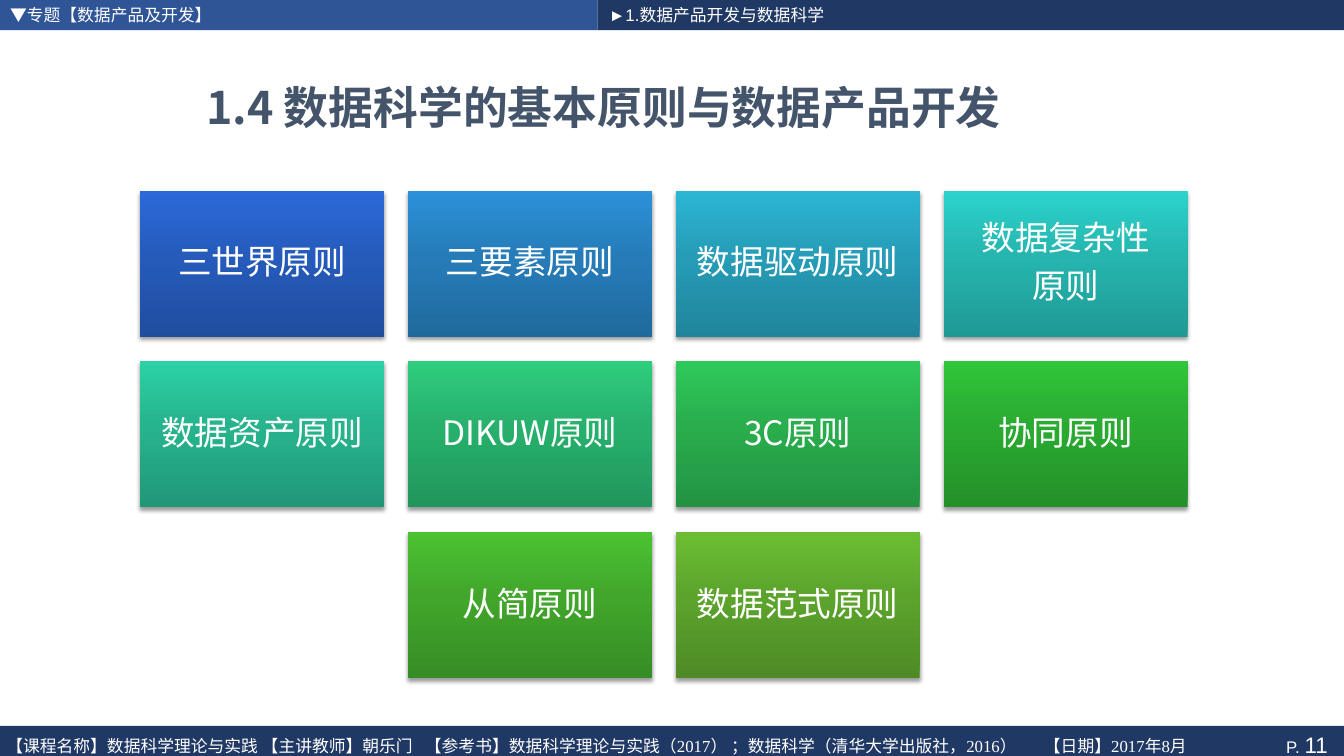
from dataclasses import dataclass

from lxml import etree
from pptx import Presentation
from pptx import util as u
from pptx.dml.color import RGBColor
from pptx.enum import shapes, text
from pptx.oxml import ns
from pptx.shapes import autoshape

COLOURS = {
    "white": "FFFFFF", "navy": "203864", "blue": "2F5597",
    "slate": "44546A", "shadow": "000000",
}
# Bottom, middle and top colour of each tile
GRADIENTS = {
    "royal": "204E9F 265BBB 2C6ADA",
    "azure": "206A9D 267CB9 2C91D8",
    "cyan": "20859C 269CB7 2CB6D5",
    "turquoise": "209A95 26B5AF 2CD3CC",
    "teal": "209878 26B38D 2CD1A5",
    "emerald": "21965C 27B06C 2ECD7E",
    "jade": "239342 29AD4D 2FC95A",
    "green": "249029 2AAA31 31C539",
    "leaf": "378D25 41A62B 4BC232",
    "olive": "4E8B26 5CA32C 6BBE34",
}
STOPS = (0, 55, 100)
CJK_FONT = "Noto Sans CJK SC"
LEFT, CENTER, RIGHT = text.PP_ALIGN.LEFT, text.PP_ALIGN.CENTER, text.PP_ALIGN.RIGHT
TOP, MIDDLE = text.MSO_ANCHOR.TOP, text.MSO_ANCHOR.MIDDLE


@dataclass(frozen=True)
class Area:
    left: float
    top: float
    width: float
    height: float

    def place(self, shape: autoshape.Shape) -> None:
        shape.left, shape.top = u.Cm(self.left), u.Cm(self.top)
        shape.width, shape.height = u.Cm(self.width), u.Cm(self.height)


@dataclass(frozen=True)
class Span:
    words: str
    size: float = 12
    font: str = "Arial"
    colour: str = "white"
    bold: bool = False


@dataclass(frozen=True)
class Tile:
    lines: tuple[str, ...]
    gradient: str


@dataclass(frozen=True)
class CourseItem:
    words: str
    left: float
    width: float


TILE_ROWS = (
    (Tile(("三世界原则",), "royal"), Tile(("三要素原则",), "azure"),
     Tile(("数据驱动原则",), "cyan"), Tile(("数据复杂性", "原则"), "turquoise")),
    (Tile(("数据资产原则",), "teal"), Tile(("DIKUW原则",), "emerald"),
     Tile(("3C原则",), "jade"), Tile(("协同原则",), "green")),
    (Tile(("从简原则",), "leaf"), Tile(("数据范式原则",), "olive")),
)
COLUMNS = 4
FIRST_TILE = Area(3.53, 4.81, 6.15, 3.68)
PITCH_X, PITCH_Y = 6.75, 4.3

TOPIC_BAR = Area(0, 0, 15.06, 0.76)
CHAPTER_BAR = Area(15.06, 0, 18.81, 0.76)
PAGE_BAR = Area(0, 18.29, 33.87, 0.76)
COURSE_ITEMS = (
    CourseItem("【课程名称】数据科学理论与实践 【主讲教师】朝乐门", 0.16, 10.5),
    CourseItem("【参考书】数据科学理论与实践（2017） ；数据科学（清华大学出版社，2016）", 10.71, 15.6),
    CourseItem("【日期】2017年8月", 26.31, 5.5),
)


def write(shape: autoshape.Shape, paragraphs: list[list[Span]], align: int,
          frame_format: dict | None = None, para_format: dict | None = None) -> None:
    """Fill a shape with unbulleted paragraphs of formatted spans."""
    frame = shape.text_frame
    defaults = {"word_wrap": True, "auto_size": text.MSO_AUTO_SIZE.NONE,
                "vertical_anchor": TOP}
    for name, value in (defaults | (frame_format or {})).items():
        setattr(frame, name, value)
    for index, spans in enumerate(paragraphs):
        para = frame.paragraphs[0] if index == 0 else frame.add_paragraph()
        properties = para._p.get_or_add_pPr()
        properties.set("marL", "0")
        properties.set("indent", "0")
        etree.SubElement(properties, ns.qn("a:buNone"))
        spacing = {"alignment": align, "space_before": u.Pt(0)}
        for name, value in (spacing | (para_format or {})).items():
            setattr(para, name, value)
        for span in spans:
            run = para.add_run()
            run.text = span.words
            font_format = {"size": u.Pt(span.size), "bold": span.bold, "name": span.font}
            for name, value in font_format.items():
                setattr(run.font, name, value)
            run.font.color.rgb = RGBColor.from_string(COLOURS[span.colour])
            etree.SubElement(run._r.get_or_add_rPr(), ns.qn("a:ea"), typeface=CJK_FONT)


def add_box(page, area: Area) -> autoshape.Shape:
    box = page.shapes.add_shape(shapes.MSO_SHAPE.RECTANGLE, 0, 0, 0, 0)
    area.place(box)
    box.shadow.inherit = False
    box.line.fill.background()
    return box


def add_bar(page, area: Area, colour: str) -> autoshape.Shape:
    bar = add_box(page, area)
    bar.fill.solid()
    bar.fill.fore_color.rgb = RGBColor.from_string(COLOURS[colour])
    return bar


def add_colour(parent: etree._Element, value: str) -> etree._Element:
    return etree.SubElement(parent, ns.qn("a:srgbClr"), val=value)


def shade(box: autoshape.Shape, gradient: str) -> None:
    """Give a box a bottom-to-top gradient and a soft shadow below."""
    box.fill.gradient()
    box.fill.gradient_angle = 90
    properties = box._element.spPr
    stop_list = properties.find(".//" + ns.qn("a:gsLst"))
    for stop in list(stop_list):
        stop_list.remove(stop)
    for position, value in zip(STOPS, GRADIENTS[gradient].split()):
        stop = etree.SubElement(stop_list, ns.qn("a:gs"), pos=str(position * 1000))
        add_colour(stop, value)
    shadow = etree.SubElement(
        properties.find(ns.qn("a:effectLst")), ns.qn("a:outerShdw"),
        blurRad=str(int(u.Pt(3.1))), dist=str(int(u.Pt(2))), dir="5400000", rotWithShape="0")
    etree.SubElement(add_colour(shadow, COLOURS["shadow"]), ns.qn("a:alpha"), val="38000")


def add_tiles(page) -> None:
    for row, tiles in enumerate(TILE_ROWS):
        indent = (COLUMNS - len(tiles)) / 2
        for column, tile in enumerate(tiles):
            box = add_box(page, Area(FIRST_TILE.left + (column + indent) * PITCH_X,
                                     FIRST_TILE.top + row * PITCH_Y,
                                     FIRST_TILE.width, FIRST_TILE.height))
            shade(box, tile.gradient)
            write(box, [[Span(line, 24, CJK_FONT)] for line in tile.lines], CENTER,
                  {"vertical_anchor": MIDDLE},
                  {"line_spacing": 0.9, "space_after": u.Pt(8.4)})


def add_frame(page) -> None:
    """Draw the header bars and the footer with course details and page number."""
    add_bar(page, TOPIC_BAR, "blue")
    add_bar(page, CHAPTER_BAR, "navy")
    page_bar = add_bar(page, PAGE_BAR, "navy")
    write(page_bar, [[Span("P. "), Span("11", 16)]], RIGHT, {"margin_right": u.Cm(0.41)})
    for item in COURSE_ITEMS:
        box = page.shapes.add_textbox(0, 0, 0, 0)
        Area(item.left, 18.42, item.width, 0.63).place(box)
        write(box, [[Span(item.words, font="Times New Roman")]], LEFT,
              {"margin_left": 0, "margin_right": 0})


def fill_placeholders(page) -> None:
    title, topic, chapter = page.placeholders
    for holder, area in (
        (title, Area(1.7, 1.55, 27.03, 2.29)),
        (topic, Area(0, 0, 12.27, 0.74)),
        (chapter, Area(15.09, 0, 12.27, 0.74)),
    ):
        area.place(holder)
        page.shapes._spTree.append(holder._element)
    heading = Span("1.4 数据科学的基本原则与数据产品开发", 32, CJK_FONT, "slate", True)
    write(title, [[heading]], CENTER, {"vertical_anchor": MIDDLE})
    write(topic, [[Span("▼专题【数据产品及开发】")]], LEFT)
    write(chapter, [[Span("►1.数据产品开发与数据科学")]], LEFT)


def main() -> None:
    deck = Presentation()
    deck.slide_width, deck.slide_height = u.Cm(33.87), u.Cm(19.05)
    page = deck.slides.add_slide(deck.slide_layouts.get_by_name("Two Content"))
    add_frame(page)
    fill_placeholders(page)
    add_tiles(page)
    deck.save("out.pptx")


if __name__ == "__main__":
    main()
